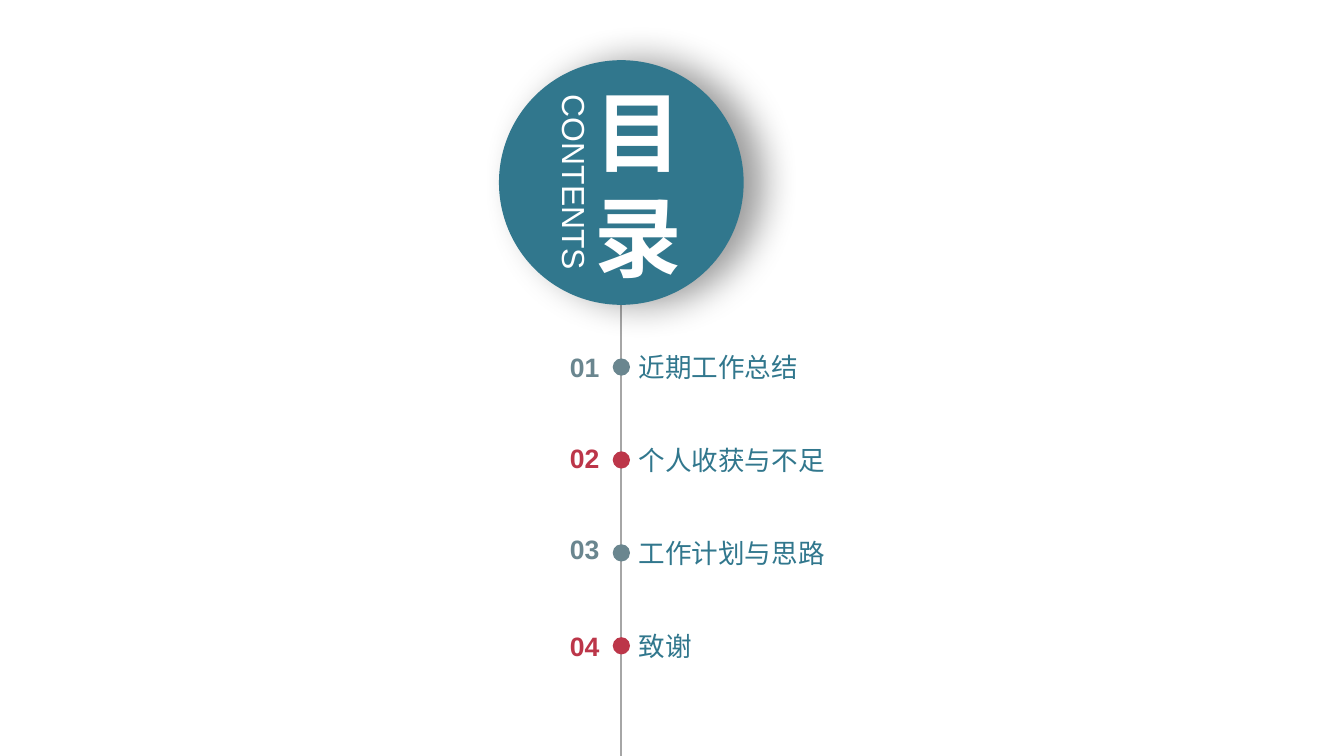
from lxml.etree import SubElement
from pptx import Presentation
from pptx.dml.color import RGBColor
from pptx.enum.shapes import MSO_CONNECTOR, MSO_SHAPE
from pptx.enum.text import MSO_ANCHOR, PP_ALIGN
from pptx.oxml.ns import qn
from pptx.util import Pt

TEAL = RGBColor(0x31, 0x77, 0x8D)
SLATE = RGBColor(0x6A, 0x86, 0x8F)
RED = RGBColor(0xBC, 0x36, 0x49)
GREY = RGBColor(0xA6, 0xA6, 0xA6)
WHITE = RGBColor(0xFF, 0xFF, 0xFF)

WIDTH, HEIGHT = 1012.32, 569.52
AXIS_X = 468
BADGE_Y, BADGE_SIZE = 137.5, 184.3
DOT_SIZE = 13
FIRST_Y, STEP = 276.5, 70

prs = Presentation()
prs.slide_width, prs.slide_height = Pt(WIDTH), Pt(HEIGHT)
s = prs.slides.add_slide(prs.slide_layouts[6])


def add_circle(y, size, color):
    """Add a filled circle centred on the axis at height y."""
    sp = s.shapes.add_shape(MSO_SHAPE.OVAL, Pt(AXIS_X - size / 2),
                            Pt(y - size / 2), Pt(size), Pt(size))
    sp.shadow.inherit = False
    sp.fill.solid()
    sp.fill.fore_color.rgb = color
    sp.line.fill.background()
    return sp


def add_text(box, lines, size, color, align=PP_ALIGN.LEFT, bold=False):
    """Add a text box without margins, one paragraph per line."""
    sp = s.shapes.add_textbox(*[Pt(v) for v in box])
    tf = sp.text_frame
    frame = {"word_wrap": True, "vertical_anchor": MSO_ANCHOR.MIDDLE,
             "margin_left": 0, "margin_right": 0,
             "margin_top": 0, "margin_bottom": 0}
    for name, value in frame.items():
        setattr(tf, name, value)
    tf.text = "\n".join(lines)
    for p in tf.paragraphs:
        p.alignment = align
        font = p.runs[0].font
        for name, value in {"size": Pt(size), "name": "Arial", "bold": bold}.items():
            setattr(font, name, value)
        font.color.rgb = color
    return sp


# Vertical axis
axis = s.shapes.add_connector(MSO_CONNECTOR.STRAIGHT, Pt(AXIS_X), Pt(52),
                              Pt(AXIS_X), Pt(HEIGHT))
axis.line.color.rgb = GREY
axis.line.width = Pt(1.5)
SubElement(axis._element.spPr, qn("a:effectLst"))

# Agenda entries: label, top of the number
entries = [("近期工作总结", 264.2), ("个人收获与不足", 332.6),
           ("工作计划与思路", 401), ("致谢", 474.5)]
for i, (label, number_top) in enumerate(entries):
    y = FIRST_Y + i * STEP
    color = RED if i % 2 else SLATE
    add_circle(y, DOT_SIZE, color)
    add_text((409, number_top, 42.5, 24.5), [f"{i + 1:02d}"], 20, color,
             PP_ALIGN.RIGHT, True)
    add_text((481, y - 12.2, 242.6, 24.5), [label], 20, TEAL)

# Title badge with a soft shadow to the right
badge = add_circle(BADGE_Y, BADGE_SIZE, TEAL)
effects = badge._element.spPr.find(qn("a:effectLst"))
shadow = SubElement(effects, qn("a:outerShdw"), blurRad=str(Pt(28)),
                    dist=str(Pt(15)), dir="0", algn="l", rotWithShape="0")
shadow_color = SubElement(shadow, qn("a:srgbClr"), val="000000")
SubElement(shadow_color, qn("a:alpha"), val="40000")

add_text((421.2, 51.8, 118.8, 171.4), ["目", "录"], 66, WHITE,
         PP_ALIGN.CENTER, True)
contents = add_text((343.4, 119.5, 179.3, 36), ["CONTENTS"], 24, WHITE,
                    PP_ALIGN.CENTER)
contents.rotation = 90

prs.save("out.pptx")
